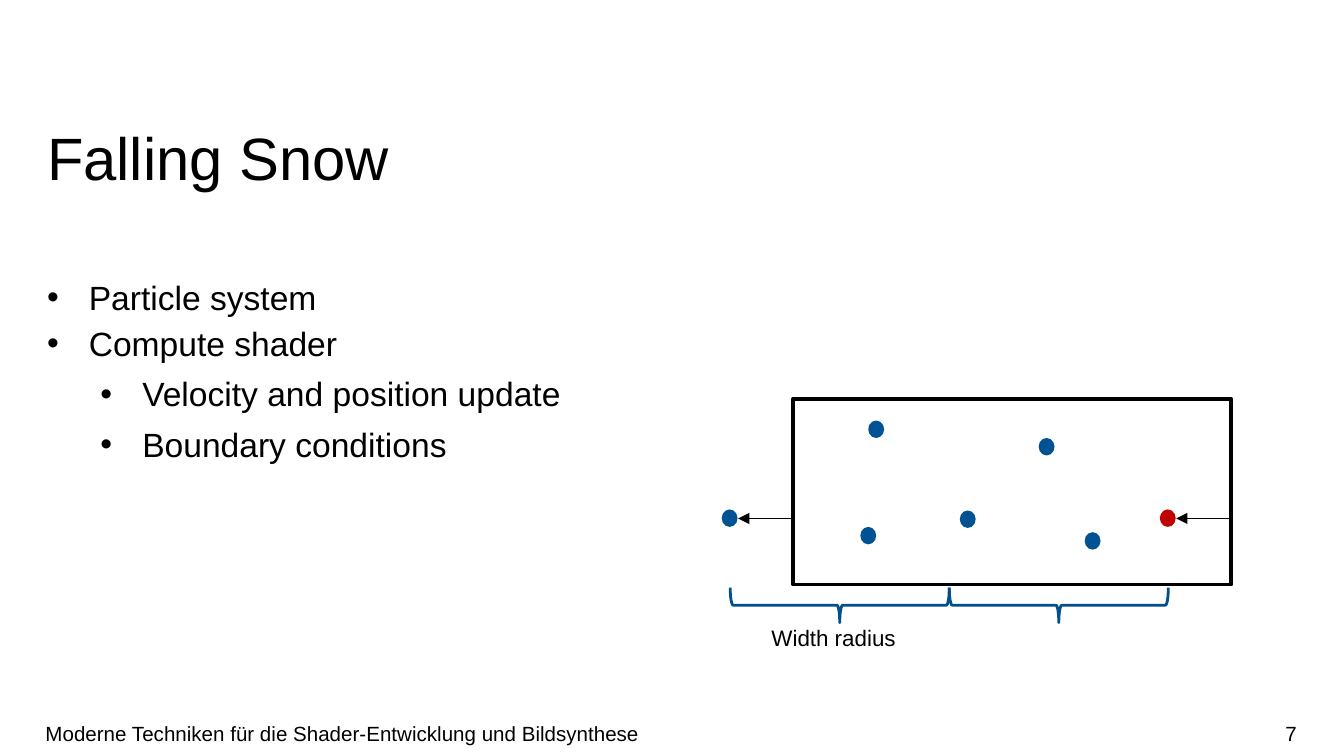
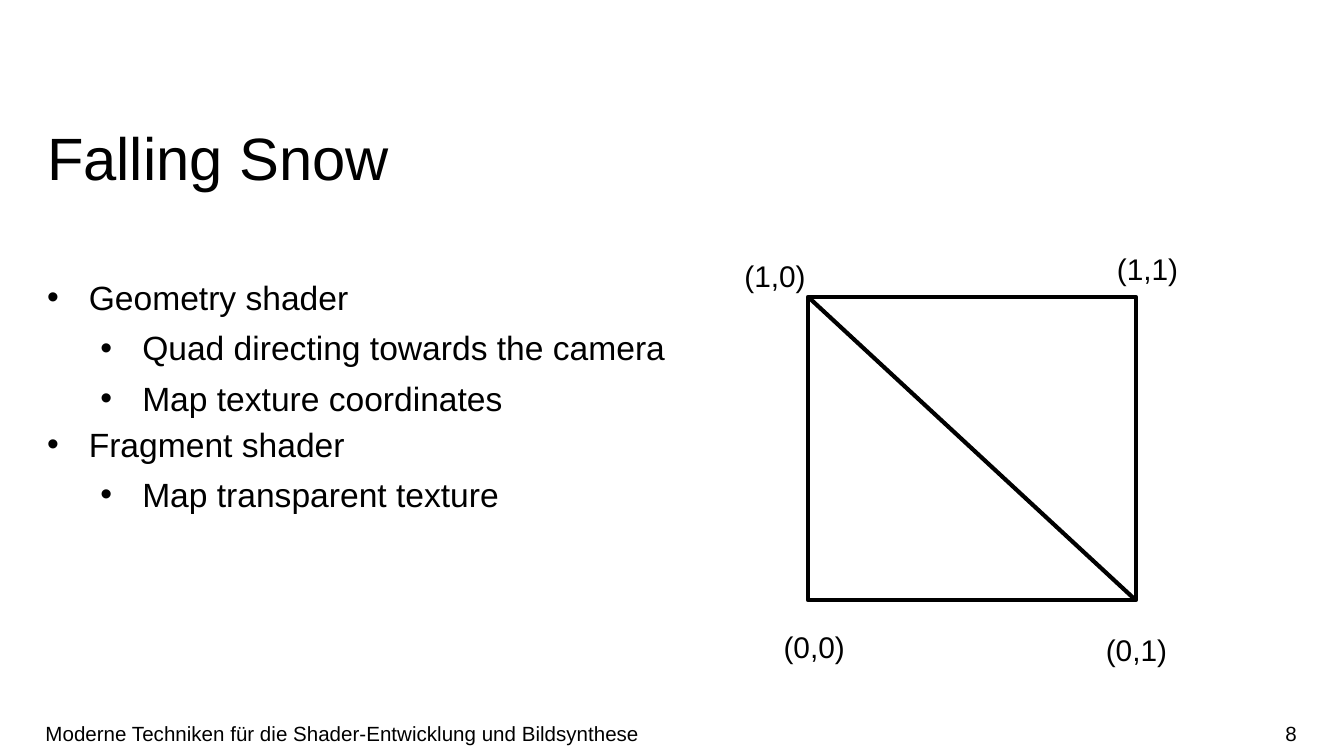
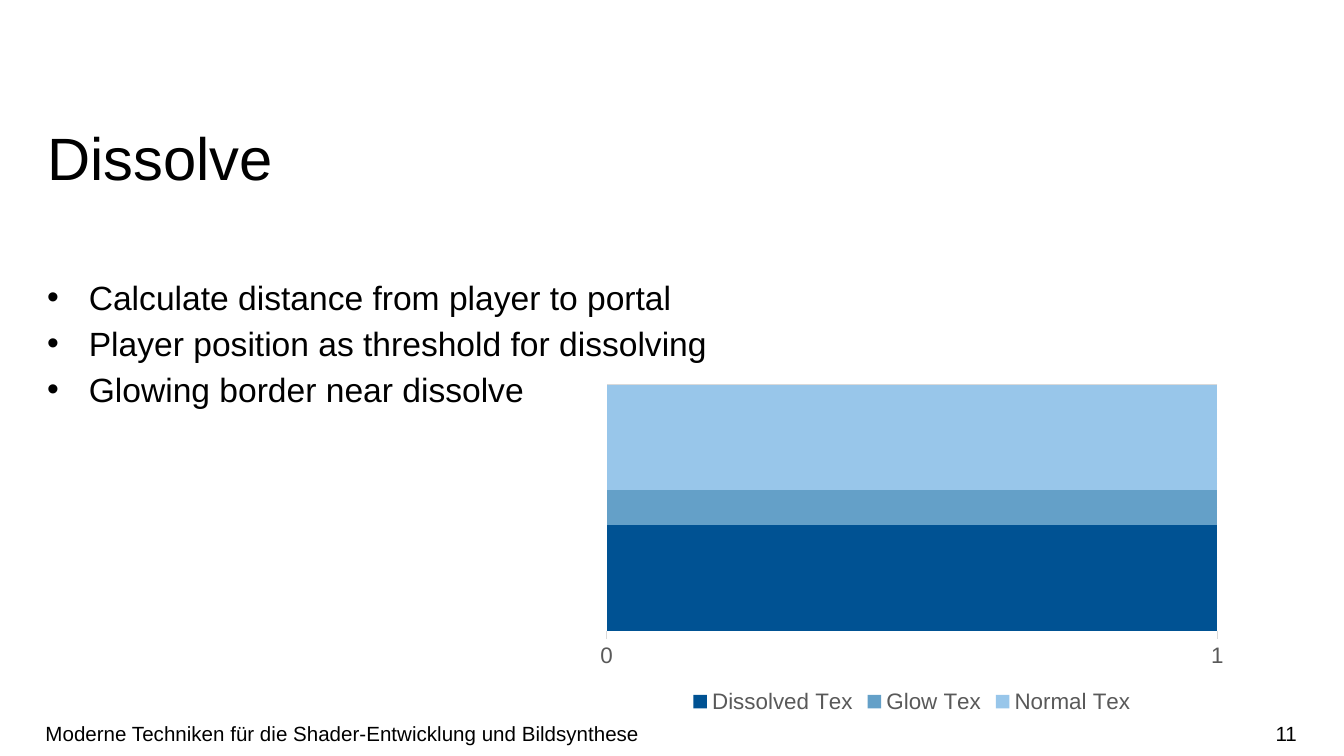
from dataclasses import dataclass

from lxml.etree import SubElement
from pptx import Presentation
from pptx.chart.data import CategoryChartData
from pptx.dml.color import RGBColor
from pptx.enum.chart import XL_CHART_TYPE, XL_LEGEND_POSITION, XL_TICK_MARK
from pptx.enum.shapes import MSO_CONNECTOR, MSO_SHAPE
from pptx.enum.text import MSO_ANCHOR, MSO_AUTO_SIZE, PP_ALIGN
from pptx.oxml.ns import qn
from pptx.util import Cm, Pt

COLORS = {
    "black": "000000",
    "white": "FFFFFF",
    "blue": "005293",
    "brace": "005090",
    "red": "C00000",
    "mid": "64A0C8",
    "light": "98C6EA",
    "gray": "595959",
    "grid": "D9D9D9",
}
FONT = "Arial"
FOOTER = "Moderne Techniken für die Shader-Entwicklung und Bildsynthese"


# Repeated elements; all lengths are in centimetres
@dataclass
class Box:
    left: float
    top: float
    width: float
    height: float

    @property
    def right(self) -> float:
        return self.left + self.width

    @property
    def bottom(self) -> float:
        return self.top + self.height

    def lengths(self) -> list:
        return [Cm(n) for n in (self.left, self.top, self.width, self.height)]


@dataclass
class Label:
    text: str
    box: Box
    size: float
    spacing: object = 1.14
    grow: bool = True


@dataclass
class Bullet:
    text: str
    level: int = 0


@dataclass
class Dot:
    left: float
    top: float
    color: str = "blue"


def color(name: str) -> RGBColor:
    return RGBColor.from_string(COLORS[name])


def style_font(font, size: float, name: str = "black") -> None:
    font.name = FONT
    font.size = Pt(size)
    font.color.rgb = color(name)


def style_line(line, name: str, width: float) -> None:
    line.color.rgb = color(name)
    line.width = Pt(width)


# Text
def add_frame(slide, box: Box):
    frame = slide.shapes.add_textbox(*box.lengths()).text_frame
    frame.word_wrap = True
    frame.margin_left = frame.margin_right = 0
    frame.margin_top = frame.margin_bottom = 0
    return frame


def add_label(slide, label: Label):
    frame = add_frame(slide, label.box)
    frame.text = label.text
    para = frame.paragraphs[0]
    para.line_spacing = label.spacing
    style_font(para.runs[0].font, label.size)
    if label.grow:
        frame.auto_size = MSO_AUTO_SIZE.SHAPE_TO_FIT_TEXT
    return frame


def add_bullets(slide, bullets: list[Bullet]) -> None:
    frame = add_frame(slide, Box(0.89, 5.13, 23.65, 8.33))
    for index, bullet in enumerate(bullets):
        para = frame.add_paragraph() if index else frame.paragraphs[0]
        para.text = bullet.text
        para.level = bullet.level
        para.line_spacing = (1.14, 1.25)[bullet.level]
        style_font(para.runs[0].font, 18)
        props = para._p.get_or_add_pPr()
        props.set("marL", str(Cm((0.79, 1.8)[bullet.level])))
        props.set("indent", str(Cm(-0.79)))
        SubElement(props, qn("a:buFont")).set("typeface", FONT)
        SubElement(props, qn("a:buChar")).set("char", "•")


# Shapes
def add_shape(slide, kind, box: Box, fill: str = "", line: str = "", width: float = 2):
    shape = slide.shapes.add_shape(kind, *box.lengths())
    shape.shadow.inherit = False
    if fill:
        shape.fill.solid()
        shape.fill.fore_color.rgb = color(fill)
    else:
        shape.fill.background()
    if line:
        style_line(shape.line, line, width)
    else:
        shape.line.fill.background()
    return shape


def add_line(slide, start: tuple, end: tuple, width: float, arrow: bool = False) -> None:
    ends = [Cm(n) for n in (*start, *end)]
    line = slide.shapes.add_connector(MSO_CONNECTOR.STRAIGHT, *ends)
    style_line(line.line, "black", width)
    props = line.element.find(qn("p:spPr"))
    if arrow:
        SubElement(props.find(qn("a:ln")), qn("a:tailEnd")).set("type", "triangle")
    SubElement(props, qn("a:effectLst"))


# Title, bullets and footer of every slide
def add_slide(deck, title: str, number: int, bullets: list[Bullet]):
    slide = deck.slides.add_slide(deck.slide_layouts[6])
    add_bullets(slide, bullets)
    add_label(slide, Label(title, Box(0.89, 2.51, 23.65, 1.14), 32, Pt(32)))
    page = Label(str(number), Box(18.82, 13.49, 5.69, 0.76), 11, 1.0, False)
    foot = Label(FOOTER, Box(0.86, 13.49, 17.96, 0.76), 11, 1.0, False)
    for label, align in ((page, PP_ALIGN.RIGHT), (foot, PP_ALIGN.LEFT)):
        frame = add_label(slide, label)
        frame.vertical_anchor = MSO_ANCHOR.MIDDLE
        frame.margin_top = frame.margin_bottom = Cm(0.13)
        frame.paragraphs[0].alignment = align
    return slide


# Slide 7: flakes leaving the box come back on the other side
def draw_snow(deck) -> None:
    slide = add_slide(deck, "Falling Snow", 7, [
        Bullet("Particle system"),
        Bullet("Compute shader"),
        Bullet("Velocity and position update", 1),
        Bullet("Boundary conditions", 1),
    ])
    field = Box(14.99, 7.54, 8.28, 3.51)
    add_shape(slide, MSO_SHAPE.RECTANGLE, field, line="black")

    lost = Dot(13.64, 9.63)
    dots = [
        Dot(19.63, 8.28),
        Dot(16.41, 7.95),
        Dot(18.14, 9.65),
        lost,
        Dot(16.26, 9.96),
        Dot(lost.left + field.width, lost.top, "red"),
        Dot(20.5, 10.06),
    ]
    for dot in dots:
        add_shape(slide, MSO_SHAPE.OVAL, Box(dot.left, dot.top, 0.3, 0.33), dot.color)

    for edge in (field.left, field.right):
        add_line(slide, (edge, 9.8), (edge - 1.04, 9.8), 0.75, arrow=True)

    span = field.width / 2
    for index in range(2):
        box = Box(15.54 + index * span, 9.37, 0.66, span)
        brace = add_shape(slide, MSO_SHAPE.RIGHT_BRACE, box, line="brace", width=1.5)
        brace.rotation = 90
    add_label(slide, Label("Width radius", Box(14.58, 11.73, 3.94, 0.53), 12))


# Slide 8: textured quad made of two triangles
def draw_quad(deck) -> None:
    slide = add_slide(deck, "Falling Snow", 8, [
        Bullet("Geometry shader"),
        Bullet("Quad directing towards the camera", 1),
        Bullet("Map texture coordinates", 1),
        Bullet("Fragment shader"),
        Bullet("Map transparent texture", 1),
    ])
    quad = Box(15.27, 5.61, 6.2, 5.74)
    add_shape(slide, MSO_SHAPE.RECTANGLE, quad, "white", "black")
    add_line(slide, (quad.left, quad.top), (quad.right, quad.bottom), 2.25)
    corners = [
        ("(0,0)", 14.81, 11.79),
        ("(0,1)", 20.9, 11.84),
        ("(1,0)", 14.07, 4.78),
        ("(1,1)", 21.11, 4.65),
    ]
    for text, left, top in corners:
        add_label(slide, Label(text, Box(left, top, 1.4, 0.71), 16))


# Slide 11: stacked bands of the dissolve textures
def draw_bands(deck) -> None:
    slide = add_slide(deck, "Dissolve", 11, [
        Bullet("Calculate distance from player to portal"),
        Bullet("Player position as threshold for dissolving"),
        Bullet("Glowing border near dissolve"),
    ])
    bands = [
        ("Dissolved Tex", 43, "blue"),
        ("Glow Tex", 14, "mid"),
        ("Normal Tex", 43, "light"),
    ]
    data = CategoryChartData()
    data.categories = ["0", "1"]
    for name, share, _ in bands:
        data.add_series(name, [share, share])
    place = Box(11.1, 7.14, 12.27, 6.45).lengths()
    chart = slide.shapes.add_chart(XL_CHART_TYPE.AREA_STACKED_100, *place, data).chart
    style_font(chart.font, 10)
    chart.has_title = False

    plot = chart.plots[0]
    plot.vary_by_categories = False
    for series, (_, _, name) in zip(plot.series, bands):
        series.format.fill.solid()
        series.format.fill.fore_color.rgb = color(name)

    axis = chart.category_axis
    axis.has_major_gridlines = False
    axis.major_tick_mark = XL_TICK_MARK.OUTSIDE
    axis.minor_tick_mark = XL_TICK_MARK.NONE
    style_font(axis.tick_labels.font, 12, "gray")
    style_line(axis.format.line, "grid", 0.75)

    scale = chart.value_axis
    scale.visible = False
    scale.has_major_gridlines = True
    style_line(scale.major_gridlines.format.line, "grid", 0.75)
    for cross in chart.element.iter(qn("c:crossBetween")):
        cross.set("val", "midCat")

    chart.has_legend = True
    chart.legend.position = XL_LEGEND_POSITION.BOTTOM
    chart.legend.include_in_layout = False
    style_font(chart.legend.font, 12, "gray")


def main() -> None:
    deck = Presentation()
    deck.slide_width = Cm(25.4)
    deck.slide_height = Cm(14.29)
    draw_snow(deck)
    draw_quad(deck)
    draw_bands(deck)
    deck.save("out.pptx")


if __name__ == "__main__":
    main()
